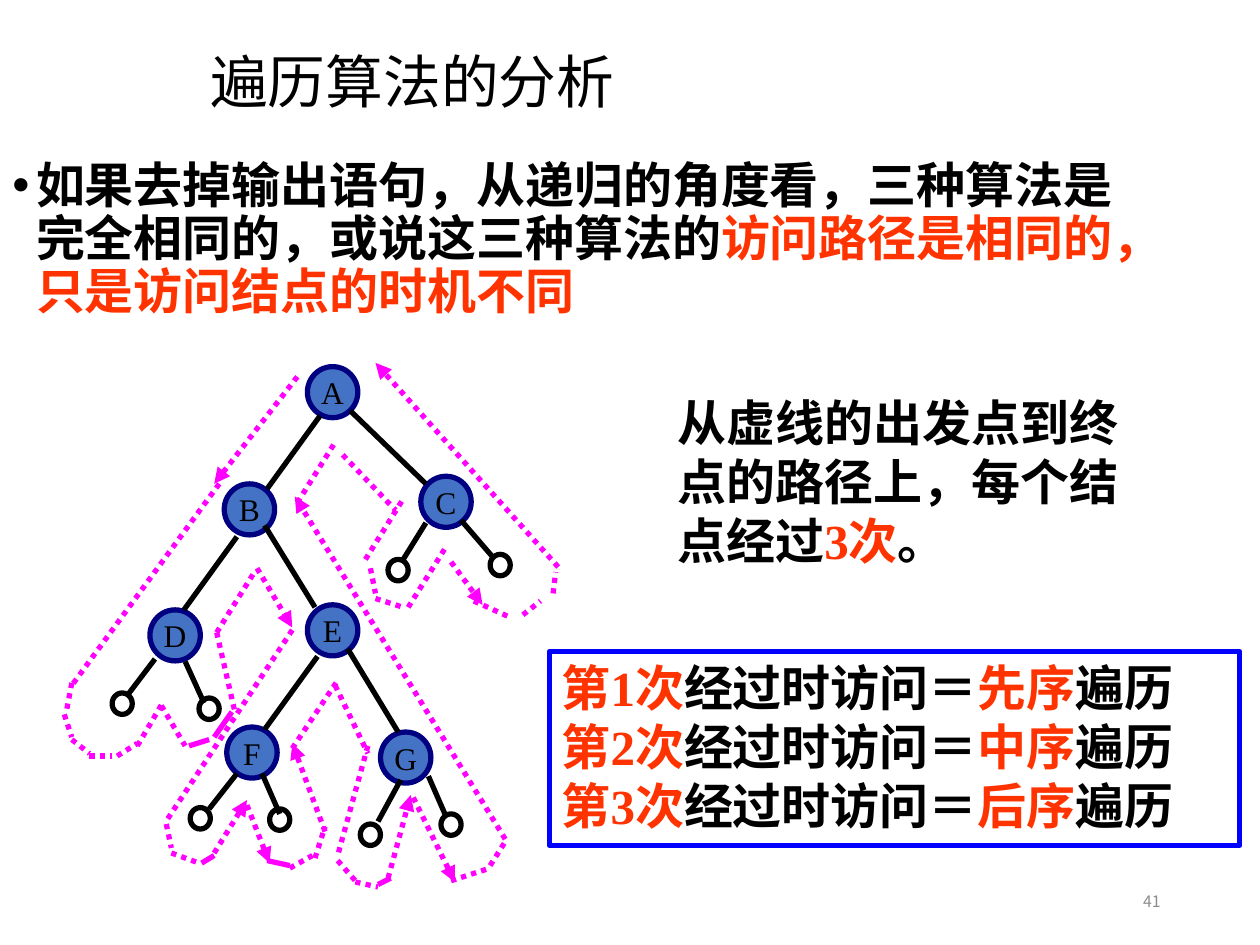
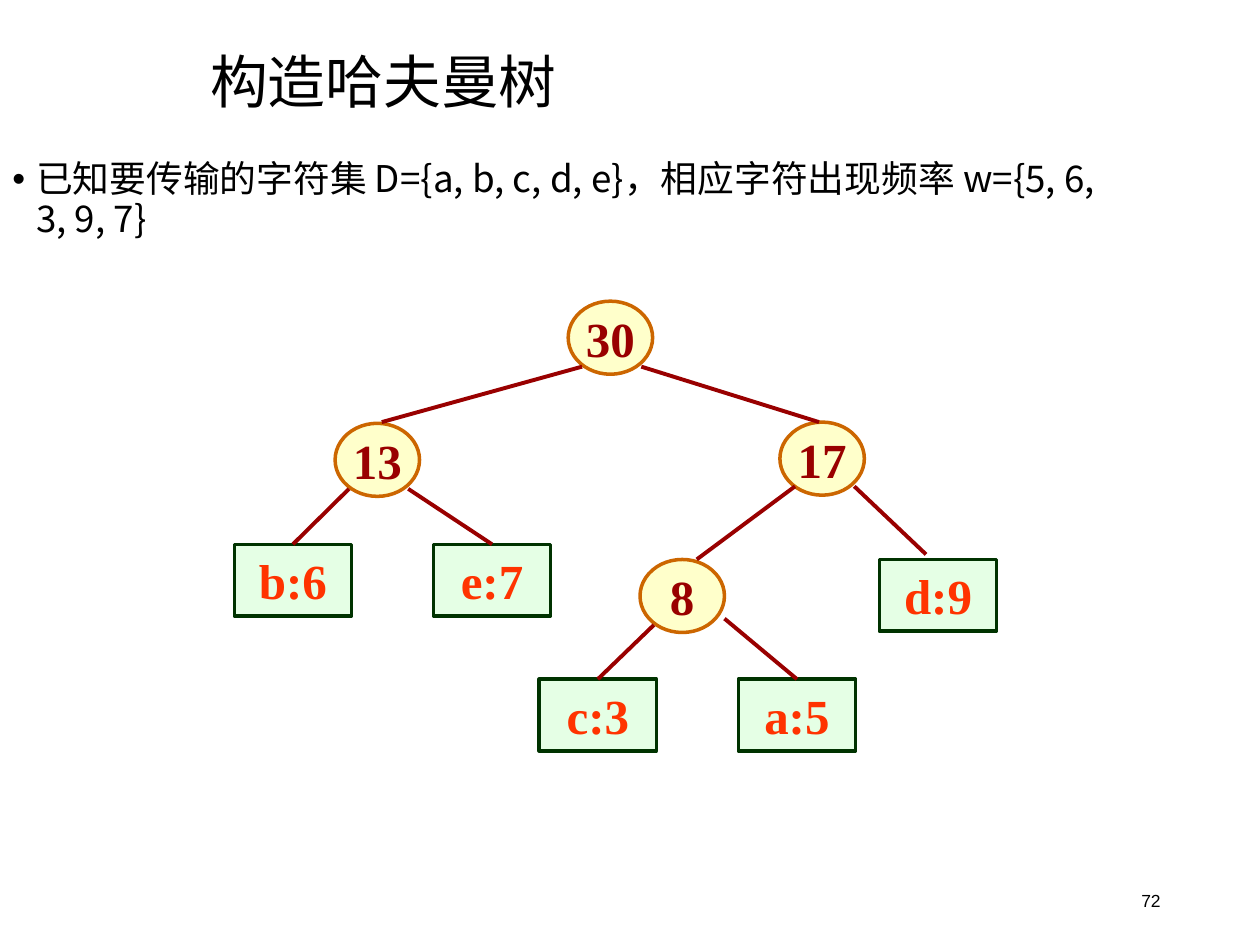
from collections import namedtuple

from lxml.etree import SubElement
from pptx import Presentation
from pptx.dml.color import RGBColor
from pptx.enum.dml import MSO_LINE
from pptx.enum.shapes import MSO_CONNECTOR, MSO_SHAPE
from pptx.enum.text import MSO_ANCHOR as ANCHOR, PP_ALIGN as ALIGN
from pptx.oxml.ns import qn
from pptx.util import Pt

Box = namedtuple("Box", "left top width height")

COLOURS = {
    "black": "000000", "grey": "8C8C8C", "red": "FF3300", "dark_red": "990000",
    "node": "4472C4", "navy": "000080", "magenta": "FF00FF", "blue": "0000FF",
    "yellow": "FFFF99", "orange": "CC6600", "mint": "CCFFCC", "forest": "003300",
}
CHINESE = "Noto Sans CJK SC"
TITLE = {"name": CHINESE, "size": Pt(33)}
PLAIN = {"name": CHINESE, "size": Pt(21)}
STRONG = {"name": "Times New Roman", "size": Pt(28), "bold": True}
LETTER = {"name": "Times New Roman", "size": Pt(18)}

TITLE_BOX = Box(113, 25.2, 607, 46.8)
BODY_BOX = Box(0, 88.56, 646.56, 110)
NUMBER_BOX = Box(508.3, 500.4, 162, 28.8)
UNIT = 0.72

NODES = {"A": (194, 3), "B": (128, 96), "C": (284, 90), "D": (69, 196),
         "E": (194, 192), "F": (130, 289), "G": (252, 293)}
LEAVES = [(39, 262), (108, 266), (101, 353), (164, 354),
          (236, 366), (300, 358), (339, 152), (258, 156)]
BRANCHES = [
    (204, 42, 162, 100), (228, 38, 288, 96), (138, 138, 96, 196),
    (160, 129, 200, 194), (202, 233, 160, 291), (226, 227, 266, 293),
    (288, 127, 270, 156), (316, 125, 341, 154), (73, 235, 51, 264),
    (97, 237, 112, 270), (138, 326, 116, 354), (158, 326, 172, 358),
    (268, 331, 250, 364), (290, 328, 304, 360),
]
DOTTED_STEPS = [
    (124, 96, 7, 256), (7, 254, 3, 275), (1, 279, 7, 297), (7, 299, 21, 310),
    (21, 312, 39, 312), (43, 312, 59, 302), (59, 304, 79, 270),
    (78, 272, 97, 304), (122, 214, 136, 275), (122, 214, 152, 166),
    (182, 212, 83, 362), (82, 366, 86, 385), (86, 389, 108, 397),
    (180, 401, 198, 391), (200, 393, 208, 368), (182, 306, 218, 252),
    (216, 256, 242, 310), (242, 304, 218, 391), (218, 395, 232, 411),
    (232, 412, 250, 416), (308, 411, 339, 401), (339, 399, 351, 380),
    (186, 111, 216, 63), (222, 73, 264, 117), (240, 156, 270, 108),
    (244, 163, 248, 183), (248, 187, 270, 194), (274, 194, 304, 146),
    (326, 189, 355, 202), (365, 200, 379, 189), (389, 183, 391, 166),
]
ARROW_STEPS = [
    (186, 11, 120, 96), (154, 163, 182, 210), (120, 389, 146, 347),
    (146, 351, 164, 397), (208, 372, 182, 302), (258, 409, 276, 343),
    (278, 345, 311, 412), (351, 378, 184, 106), (308, 158, 333, 192),
    (393, 162, 248, 0),
]
SOLID_STEPS = [
    (100, 304, 116, 299), (120, 297, 134, 277), (110, 397, 120, 391),
    (162, 395, 180, 399), (250, 414, 260, 409),
]

SUMS = {"30": (265, 0), "13": (80, 97), "17": (433, 96), "8": (322, 205)}
WEIGHTS = {"b:6": (0, 193), "e:7": (158, 193), "c:3": (242, 300),
           "a:5": (400, 300), "d:9": (512, 205)}
SUM_BRANCHES = [(276, 52, 117, 96), (323, 52, 464, 96),
                (445, 147, 367, 205), (492, 147, 549, 201)]
WEIGHT_BRANCHES = {"b:6": (91, 149), "e:7": (138, 149),
                   "c:3": (333, 257), "a:5": (389, 252)}


def colour(name):
    """Return the named colour of the palette."""
    return RGBColor.from_string(COLOURS[name])


def apply(target, values):
    """Set every attribute in a dict of values on the target."""
    for name, value in values.items():
        setattr(target, name, value)


def lengths(box):
    """Return the four sides of a box as lengths."""
    return [Pt(value) for value in box]


def in_box(box, left, top, width=0, height=0):
    """Turn drawing units inside a box into a box on the slide."""
    return Box(box.left + left * UNIT, box.top + top * UNIT,
               width * UNIT, height * UNIT)


def write(shape, paragraphs, font, frame=None, layout=None):
    """Fill a shape with paragraphs made of (text, colour) runs."""
    text_frame = shape.text_frame
    apply(text_frame, {"word_wrap": True, "vertical_anchor": ANCHOR.TOP, **(frame or {})})
    for index, runs in enumerate(paragraphs):
        paragraph = text_frame.add_paragraph() if index else text_frame.paragraphs[0]
        apply(paragraph, {"alignment": ALIGN.LEFT, **(layout or {})})
        for text, shade in runs:
            run = paragraph.add_run()
            run.text = text
            apply(run.font, font)
            run.font.color.rgb = colour(shade)
            SubElement(run.font._element, qn("a:ea"), typeface=CHINESE)
    return text_frame


def add_text(slide, box, paragraphs, font, frame=None, layout=None):
    """Add a text box."""
    shape = slide.shapes.add_textbox(*lengths(box))
    return write(shape, paragraphs, font, frame, layout)


def add_outline(slide, kind, box, line, width, fill=None, opacity=None):
    """Add a preset shape with a line, and a fill if one is named."""
    shape = slide.shapes.add_shape(kind, *lengths(box))
    shape.shadow.inherit = False
    apply(shape.line, {"width": Pt(width)})
    shape.line.color.rgb = colour(line)
    if not fill:
        shape.fill.background()
        return shape
    shape.fill.solid()
    shape.fill.fore_color.rgb = colour(fill)
    if opacity:
        solid = shape.element.spPr.find(qn("a:solidFill"))
        SubElement(solid[0], qn("a:alpha"), val=str(opacity * 1000))
    return shape


def add_line(slide, box, ends, shade, width, dotted=False, arrow=False):
    """Add a straight line whose ends are in drawing units of the box."""
    start, end = in_box(box, *ends[:2]), in_box(box, *ends[2:])
    connector = slide.shapes.add_connector(
        MSO_CONNECTOR.STRAIGHT, *lengths(start[:2] + end[:2]))
    connector.line.color.rgb = colour(shade)
    connector.line.width = Pt(width)
    if dotted:
        connector.line.dash_style = MSO_LINE.ROUND_DOT
    properties = connector.element.spPr
    if arrow:
        SubElement(properties.find(qn("a:ln")), qn("a:tailEnd"), type="triangle")
    SubElement(properties, qn("a:effectLst"))
    return connector


def add_page(presentation, title, body, body_font, number, number_font, number_colour):
    """Add a slide with its title, bulleted text and number."""
    slide = presentation.slides.add_slide(presentation.slide_layouts[6])
    middle = {"vertical_anchor": ANCHOR.MIDDLE}
    add_text(slide, NUMBER_BOX, [[(number, number_colour)]], number_font,
             middle, {"alignment": ALIGN.RIGHT})
    add_text(slide, TITLE_BOX, [[(title, "black")]], TITLE, middle, {"line_spacing": 0.9})
    text_frame = add_text(slide, BODY_BOX, [body], body_font, layout={"line_spacing": 0.9})
    properties = text_frame.paragraphs[0]._p.get_or_add_pPr()
    apply_indent = {"marL": str(Pt(13.5)), "indent": str(Pt(-13.5))}
    for name, value in apply_indent.items():
        properties.set(name, value)
    SubElement(properties, qn("a:buFont"), typeface="Arial")
    SubElement(properties, qn("a:buChar"), char="•")
    return slide


def draw_traversal(slide, box):
    """Draw the binary tree and the walk around it."""
    for letter, place in NODES.items():
        node = add_outline(slide, MSO_SHAPE.OVAL, in_box(box, *place, 40, 40.5),
                           "navy", 3, "node")
        write(node, [[(letter, "black")]], LETTER,
              {"word_wrap": False, "vertical_anchor": ANCHOR.MIDDLE},
              {"alignment": ALIGN.CENTER})
    for ends in BRANCHES:
        add_line(slide, box, ends, "black", 3)
    for place in LEAVES:
        add_outline(slide, MSO_SHAPE.OVAL, in_box(box, *place, 16, 17), "black", 3)
    for steps, style in ((SOLID_STEPS, {}), (DOTTED_STEPS, {"dotted": True}),
                         (ARROW_STEPS, {"dotted": True, "arrow": True})):
        for ends in steps:
            add_line(slide, box, ends, "magenta", 3, **style)


def draw_visit_rules(slide, box):
    """Draw the framed list that links each pass to an order."""
    frame = add_outline(slide, MSO_SHAPE.RECTANGLE, box, "blue", 3)
    rules = [[(f"第{turn}次", "red"), ("经过时访问＝", "black"),
              (order, "red"), ("遍历", "black")]
             for turn, order in enumerate(("先序", "中序", "后序"), 1)]
    write(frame, rules, STRONG)


def draw_huffman(slide, box):
    """Draw the Huffman tree with its sums and weights."""
    centred = {"alignment": ALIGN.CENTER}
    for total, place in SUMS.items():
        oval = add_outline(slide, MSO_SHAPE.OVAL, in_box(box, *place, 67, 58),
                           "orange", 2, "yellow", 50)
        write(oval, [[(total, "dark_red")]], STRONG,
              {"word_wrap": False, "vertical_anchor": ANCHOR.MIDDLE}, centred)
    leaves = {}
    for label, place in WEIGHTS.items():
        leaf = add_outline(slide, MSO_SHAPE.RECTANGLE, in_box(box, *place, 93, 57),
                           "forest", 2, "mint", 50)
        write(leaf, [[(label, "red")]], STRONG, layout=centred)
        leaves[label] = leaf
    for ends in SUM_BRANCHES:
        add_line(slide, box, ends, "dark_red", 2.25)
    for label, start in WEIGHT_BRANCHES.items():
        branch = add_line(slide, box, start + WEIGHTS[label], "dark_red", 2.25)
        branch.end_connect(leaves[label], 0)


def build_traversal_slide(presentation):
    """Build the slide on traversal."""
    body = [("如果去掉输出语句，从递归的角度看，三种算法是完全相同的，或说这三种算法的", "black"),
            ("访问路径是相同的，只是访问结点的时机不同", "red")]
    slide = add_page(presentation, "遍历算法的分析", body, STRONG,
                     "41", {"name": CHINESE, "size": Pt(9)}, "grey")
    draw_traversal(slide, Box(36, 207.36, 288, 300))
    remark = [("从虚线的出发点到终点的路径上，每个结点经过", "black"),
              ("3次", "red"), ("。", "black")]
    add_text(slide, Box(380.16, 221, 286.56, 108.7), [remark], STRONG)
    draw_visit_rules(slide, Box(313.92, 372.24, 394.56, 110.9))


def build_huffman_slide(presentation):
    """Build the slide on the Huffman tree."""
    body = [("已知要传输的字符集 D={a, b, c, d, e}，相应字符出现频率 w={5, 6, 3, 9, 7}", "black")]
    slide = add_page(presentation, "构造哈夫曼树", body, PLAIN,
                     "72", {"name": "Arial", "size": Pt(10)}, "black")
    draw_huffman(slide, Box(133.92, 172.08, 435.6, 257))


def main():
    """Build and save the presentation."""
    presentation = Presentation()
    apply(presentation, {"slide_width": Pt(720), "slide_height": Pt(540)})
    build_traversal_slide(presentation)
    build_huffman_slide(presentation)
    presentation.save("out.pptx")


if __name__ == "__main__":
    main()
